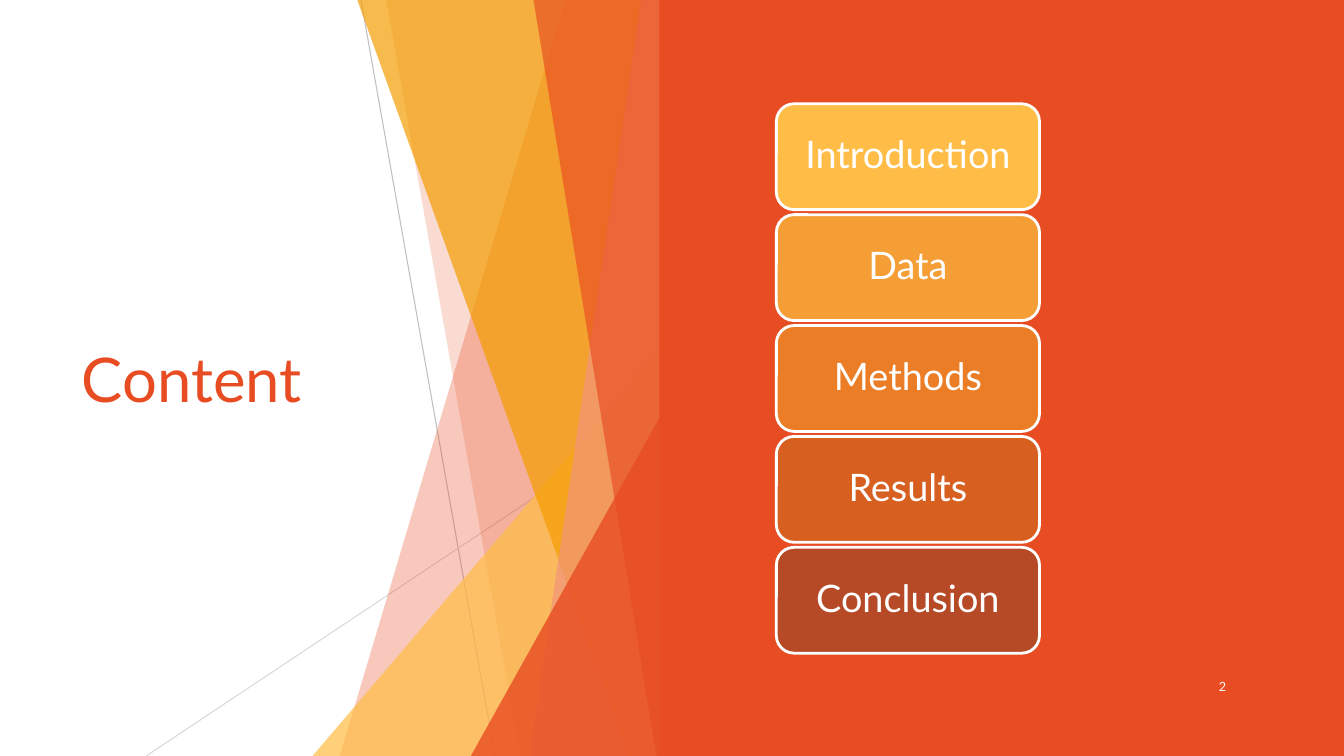
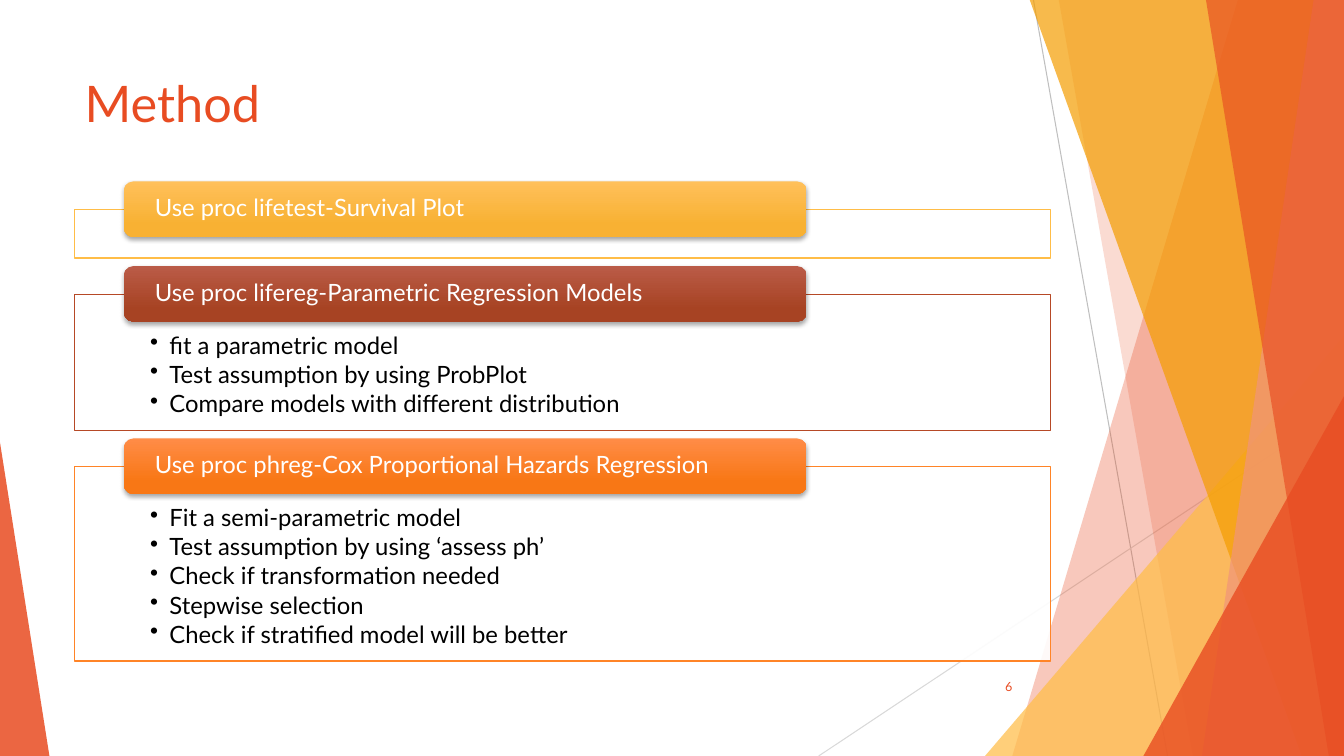
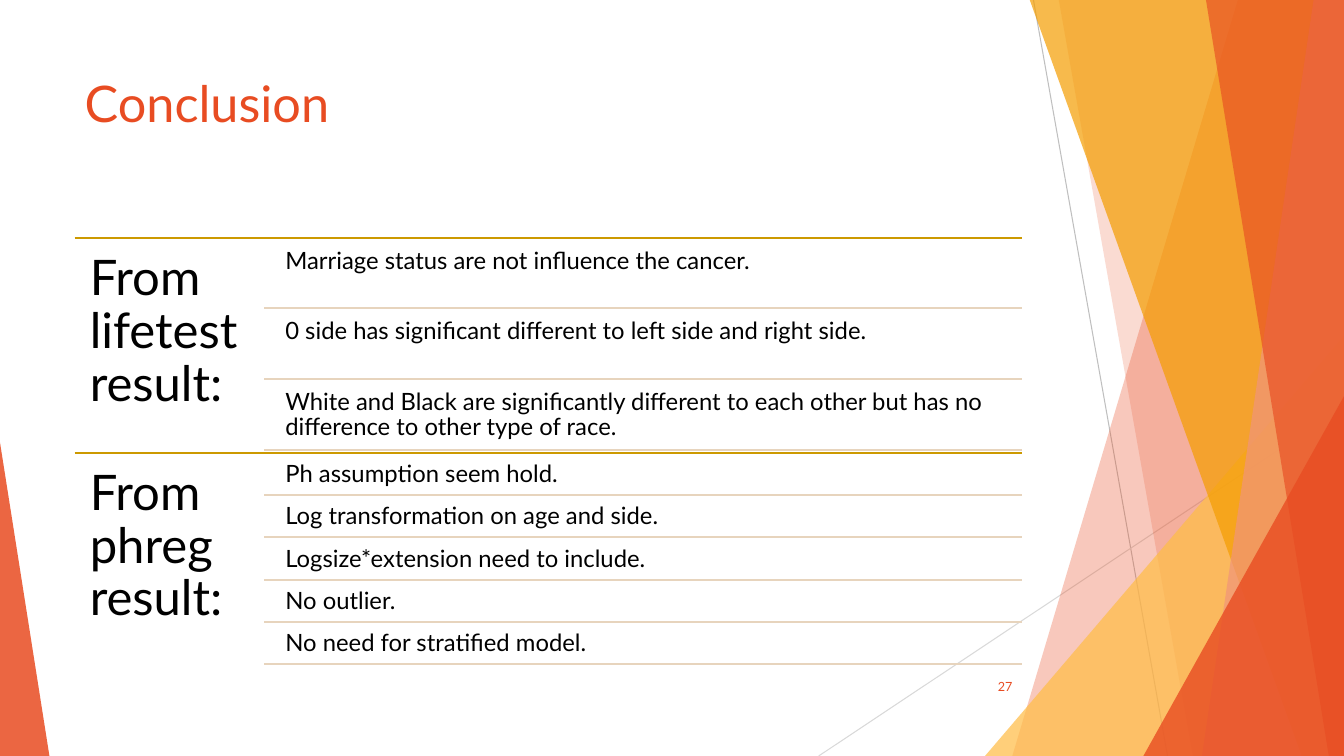
from lxml import etree
from pptx import Presentation
from pptx.dml.color import RGBColor
from pptx.enum.shapes import MSO_CONNECTOR, MSO_SHAPE
from pptx.enum.text import MSO_ANCHOR, MSO_AUTO_SIZE, PP_ALIGN
from pptx.oxml.ns import qn
from pptx.util import Inches, Pt

STRAIGHT = MSO_CONNECTOR.STRAIGHT
RECTANGLE = MSO_SHAPE.RECTANGLE
ROUNDED = MSO_SHAPE.ROUNDED_RECTANGLE
TRIANGLE = MSO_SHAPE.ISOSCELES_TRIANGLE
TOP, MIDDLE = MSO_ANCHOR.TOP, MSO_ANCHOR.MIDDLE
LEFT, CENTER, RIGHT = PP_ALIGN.LEFT, PP_ALIGN.CENTER, PP_ALIGN.RIGHT
NO_AUTOFIT = MSO_AUTO_SIZE.NONE

WHITE = RGBColor(0xFF, 0xFF, 0xFF)
BLACK = RGBColor(0x00, 0x00, 0x00)
RED = RGBColor(0xE8, 0x4C, 0x22)
SALMON = RGBColor(0xF1, 0x94, 0x7A)
AMBER = RGBColor(0xF4, 0x9D, 0x00)
YELLOW = RGBColor(0xFF, 0xBD, 0x47)
APRICOT = RGBColor(0xF6, 0x9E, 0x36)
ORANGE = RGBColor(0xEB, 0x7D, 0x26)
RUST = RGBColor(0xD7, 0x5F, 0x20)
BRICK = RGBColor(0xB6, 0x49, 0x26)
BRIGHT = RGBColor(0xFF, 0x84, 0x27)
YELLOW_RAMP = RGBColor(0xFF, 0xC0, 0x5A), RGBColor(0xF8, 0xB1, 0x33)
BRICK_RAMP = RGBColor(0xBA, 0x5B, 0x47), RGBColor(0xA7, 0x43, 0x23)
BRIGHT_RAMP = RGBColor(0xFF, 0x8C, 0x47), RGBColor(0xF8, 0x77, 0x15)
GOLD = RGBColor(0xCC, 0x99, 0x00)
SAND = RGBColor(0xE7, 0xD4, 0xBD)
GREY = RGBColor(0xBF, 0xBF, 0xBF)
PALE_GREY = RGBColor(0xD9, 0xD9, 0xD9)

FONT = "Lato"
WIDTH, HEIGHT = 13.33, 7.5

AGENDA = [
    ("Introduction", YELLOW),
    ("Data", APRICOT),
    ("Methods", ORANGE),
    ("Results", RUST),
    ("Conclusion", BRICK),
]
METHODS = [
    ("Use proc lifetest-Survival Plot", YELLOW, YELLOW_RAMP, []),
    ("Use proc lifereg-Parametric Regression Models", BRICK, BRICK_RAMP, [
        "fit a parametric model",
        "Test assumption by using ProbPlot",
        "Compare models with different distribution",
    ]),
    ("Use proc phreg-Cox Proportional Hazards Regression", BRIGHT, BRIGHT_RAMP, [
        "Fit a semi-parametric model",
        "Test assumption by using ‘assess ph’",
        "Check if transformation needed",
        "Stepwise selection",
        "Check if stratified model will be better",
    ]),
]
FINDINGS = [
    ("From lifetest result:", 0.7, [
        "Marriage status are not influence the cancer.",
        "0 side has significant different to left side and right side.",
        "White and Black are significantly different to each other but has no "
        "difference to other type of race.",
    ]),
    ("From phreg result:", 0.42, [
        "Ph assumption seem hold.",
        "Log transformation on age and side.",
        "Logsize*extension need to include.",
        "No outlier.",
        "No need for stratified model.",
    ]),
]


def write(box, lines, size=17, color=BLACK, align=LEFT, anchor=TOP,
          insets=(0.1, 0.05, 0.1, 0.05), spacing=0.9, after=0, bullet=False):
    """Fill a shape with one paragraph per line."""
    frame = box.text_frame
    frame.word_wrap = True
    frame.auto_size = NO_AUTOFIT
    frame.vertical_anchor = anchor
    frame.margin_left, frame.margin_top, frame.margin_right, frame.margin_bottom = (
        Inches(inset) for inset in insets)
    for index, line in enumerate(lines):
        para = frame.paragraphs[0] if index == 0 else frame.add_paragraph()
        para.alignment = align
        para.line_spacing = spacing
        para.space_after = Pt(after)
        span = para.add_run()
        span.text = line
        span.font.name = FONT
        span.font.size = Pt(size)
        span.font.color.rgb = color
        if bullet:
            add_bullet(para)


def add_bullet(para):
    """Give a paragraph a hanging round bullet."""
    settings = para._p.get_or_add_pPr()
    settings.set("marL", str(Inches(0.19)))
    settings.set("indent", str(-Inches(0.19)))
    etree.SubElement(settings, qn("a:buChar")).set("char", "•")


def paint(shape, color, opacity=100, outline=None, weight=1):
    """Set a flat fill and an optional outline, without shadow."""
    shape.shadow.inherit = False
    shape.fill.solid()
    shape.fill.fore_color.rgb = color
    if opacity < 100:
        tint = shape.element.spPr.find(qn("a:solidFill"))[0]
        etree.SubElement(tint, qn("a:alpha")).set("val", str(opacity * 1000))
    if outline is None:
        shape.line.fill.background()
    else:
        shape.line.color.rgb = outline
        shape.line.width = Pt(weight)


def add_box(page, kind, left, top, width, height):
    """Add a preset shape placed in inches."""
    return page.shapes.add_shape(
        kind, Inches(left), Inches(top), Inches(width), Inches(height))


def add_label(page, left, top, width, height, text, **style):
    """Add a text box with one paragraph."""
    box = page.shapes.add_textbox(
        Inches(left), Inches(top), Inches(width), Inches(height))
    write(box, [text], **style)


def add_rule(page, start, end, color, weight):
    """Draw a straight line between two points."""
    rule = page.shapes.add_connector(
        STRAIGHT, *(Inches(value) for value in (*start, *end)))
    rule.line.color.rgb = color
    rule.line.width = Pt(weight)
    etree.SubElement(rule.element.spPr, qn("a:effectLst"))


def add_panel(page, right, top_reach, bottom_reach, color, opacity):
    """Draw a slanted panel whose reaches are measured back from its right edge."""
    builder = page.shapes.build_freeform(
        Inches(right - top_reach), Inches(-0.01))
    corners = [(right, -0.01), (right, HEIGHT), (right - bottom_reach, HEIGHT)]
    builder.add_line_segments([(Inches(x), Inches(y)) for x, y in corners])
    paint(builder.convert_to_shape(), color, opacity)


def add_wedge(page, left, top, width, color, opacity, apex):
    """Draw a right triangle standing on the bottom edge of the slide."""
    wedge = add_box(page, TRIANGLE, left, top, width, HEIGHT - top)
    wedge.adjustments[0] = apex
    paint(wedge, color, opacity)


def add_facets(page, right=WIDTH):
    """Draw the fan of translucent facets that ends at the given edge."""
    add_rule(page, (right - 3.08, 0), (right - 1.75, HEIGHT), GREY, 0.75)
    add_rule(page, (right, 4.03), (right - 5.21, HEIGHT), PALE_GREY, 0.75)
    add_panel(page, right, 1.05, 3.29, RED, 30)
    add_panel(page, right, 2.83, 1.5, RED, 20)
    add_wedge(page, right - 3.56, 3.33, 3.56, YELLOW, 72, apex=1)
    add_panel(page, right, 3.12, 0.42, AMBER, 70)
    add_panel(page, right, 0.3, 1.41, SALMON, 70)
    add_panel(page, right, 1.37, 0.15, RED, 65)
    add_wedge(page, right - 1.99, 3.93, 1.99, RED, 80, apex=1)


def set_title(page, text, left, top, width, height, size=36, anchor=TOP):
    """Place and format the title placeholder."""
    title = page.shapes.title
    title.left, title.top = Inches(left), Inches(top)
    title.width, title.height = Inches(width), Inches(height)
    write(title, [text], size=size, color=RED, anchor=anchor, spacing=1)


def add_number(page, number, left=9.39, color=RED):
    """Add the page number."""
    add_label(page, left, 6.61, 0.75, 0.4, number, size=9, color=color,
              align=RIGHT, anchor=MIDDLE, spacing=1)


def add_page(deck):
    """Add a slide with the title-only layout."""
    return deck.slides.add_slide(deck.slide_layouts[5])


def add_body_page(deck, title, number):
    """Add a slide with the common title, facets and page number."""
    page = add_page(deck)
    add_facets(page)
    add_wedge(page, 0, 4.39, 0.49, RED, 85, apex=0)
    set_title(page, title, 0.74, 0.67, 9.4, 1.44)
    add_number(page, number)
    return page


def add_header(page, top, text, ramp):
    """Add a rounded gradient header with a soft shadow."""
    header = add_box(page, ROUNDED, 1.23, top, 6.77, 0.55)
    header.line.fill.background()
    header.fill.gradient()
    header.fill.gradient_angle = 270
    for stop, color, position in zip(header.fill.gradient_stops, ramp, (0, 0.78)):
        stop.color.rgb = color
        stop.position = position
    header.shadow.inherit = False
    effects = header.element.spPr.find(qn("a:effectLst"))
    shadow = etree.SubElement(
        effects, qn("a:outerShdw"), blurRad=str(Pt(3)), dist=str(Pt(2)),
        dir="5400000", algn="ctr", rotWithShape="0")
    tint = etree.SubElement(shadow, qn("a:srgbClr"), val=str(BLACK))
    etree.SubElement(tint, qn("a:alpha"), val="35000")
    write(header, [text], color=WHITE, anchor=MIDDLE, insets=(0.28, 0, 0.28, 0))


def build_content(deck):
    """Build the agenda slide."""
    page = add_page(deck)
    add_facets(page, right=6.66)
    paint(add_box(page, RECTANGLE, 6.54, 0, WIDTH - 6.54, HEIGHT), RED)
    set_title(page, "Content", 0.71, 1.51, 3.88, 4.48, size=44, anchor=MIDDLE)
    add_number(page, "2", left=11.51, color=WHITE)
    for index, (topic, color) in enumerate(AGENDA):
        box = add_box(page, ROUNDED, 7.7, 1.03 + 1.1 * index, 2.61, 1.05)
        paint(box, color, outline=WHITE, weight=2)
        write(box, [topic], size=27, color=WHITE, align=CENTER, anchor=MIDDLE)


def build_method(deck):
    """Build the slide of procedures and their steps."""
    page = add_body_page(deck, "Method", "6")
    top = 2.08
    for heading, color, ramp, steps in METHODS:
        height = 0.48 + 0.29 * len(steps)
        box = add_box(page, RECTANGLE, 0.74, top, 9.68, height)
        paint(box, WHITE, 90, outline=color)
        write(box, steps, insets=(0.75, 0.39, 0.75, 0.13), after=2.5, bullet=True)
        add_header(page, top - 0.28, heading, ramp)
        top += height + 0.36


def build_conclusion(deck):
    """Build the slide of findings by procedure."""
    page = add_body_page(deck, "Conclusion", "27")
    for group, (label, pitch, results) in enumerate(FINDINGS):
        top = 2.36 + 2.13 * group
        add_rule(page, (0.74, top), (10.14, top), GOLD, 1.5)
        add_label(page, 0.74, top, 1.88, 2.12, label, size=35, insets=[0.15] * 4)
        for row, result in enumerate(results):
            row_top = top + pitch * row
            bottom = row_top + pitch
            add_label(page, 2.76, row_top + pitch / 20, 7.38, pitch * 0.95,
                      result, insets=[0.07] * 4)
            add_rule(page, (2.62, bottom), (10.14, bottom), SAND, 1.5)


def main():
    """Build and save the deck."""
    deck = Presentation()
    deck.slide_width, deck.slide_height = Inches(WIDTH), Inches(HEIGHT)
    build_content(deck)
    build_method(deck)
    build_conclusion(deck)
    deck.save("out.pptx")


if __name__ == "__main__":
    main()
